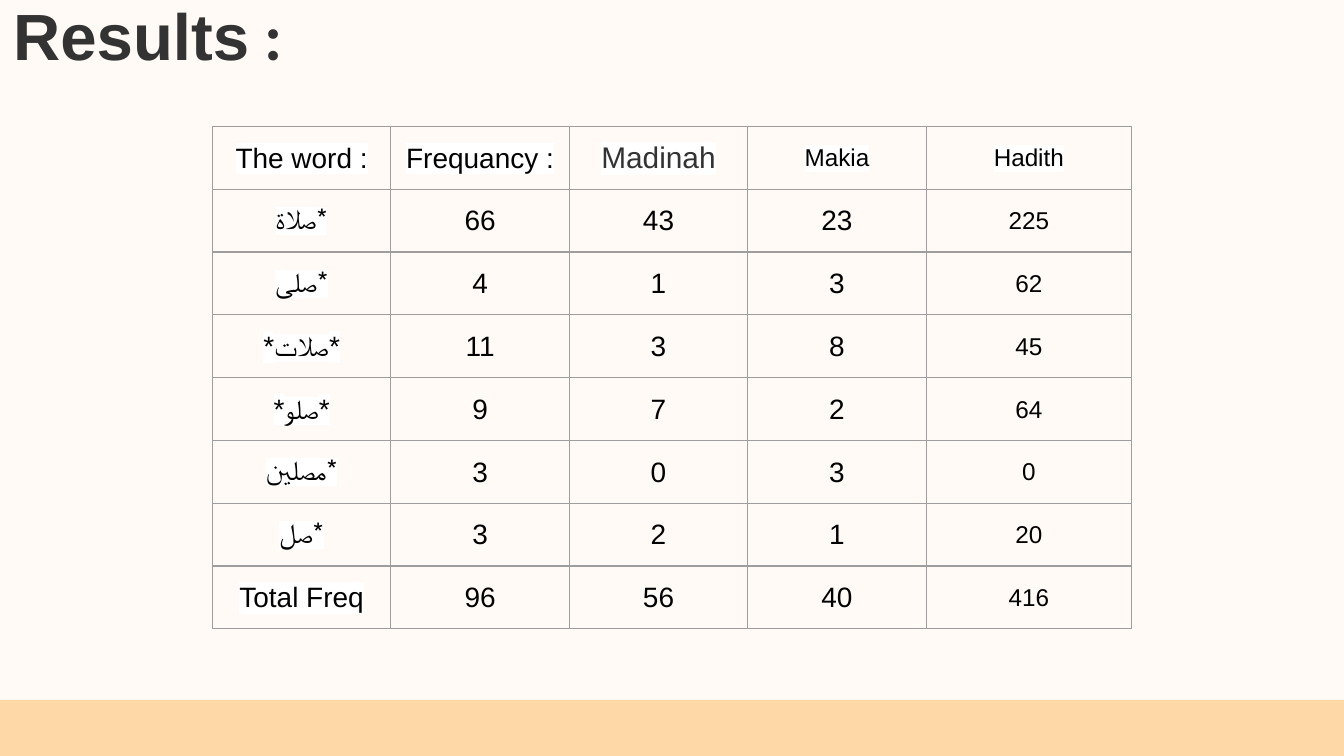
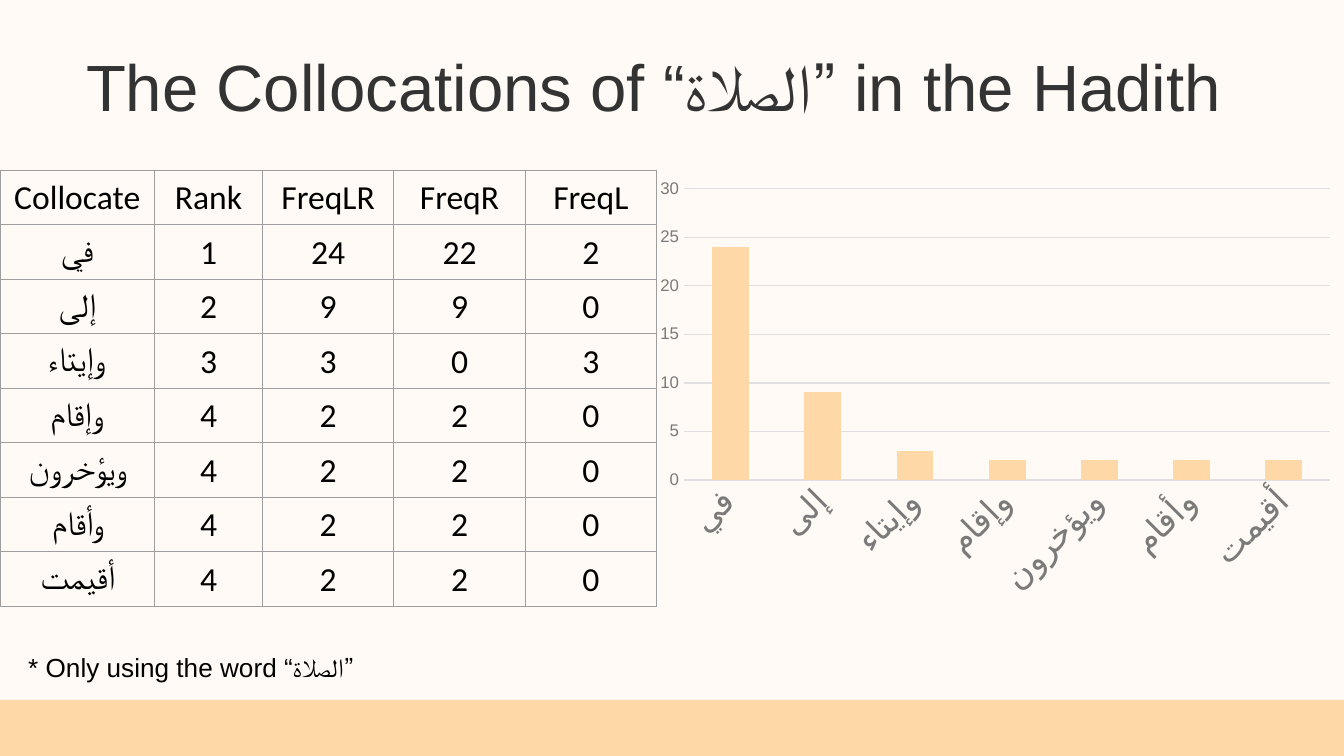
import pptx
import pptx.chart.data
import pptx.dml.color
import pptx.enum.chart
import pptx.enum.shapes
import pptx.enum.text
import pptx.oxml
import pptx.oxml.ns
import pptx.util
from lxml import etree

Pt = pptx.util.Pt
qn = pptx.oxml.ns.qn
WIDTH, HEIGHT = 720, 405
CREAM, PEACH = "FFFAF5", "FFD8A8"
BLACK, WHITE, INK = "000000", "FFFFFF", "333333"
BORDER, AXIS, GRID = "9E9E9E", "7A7A7A", "E0E0E0"
TITLE_SIZE = 35

WORDS = [
    ("The word :", "Frequancy :", "Madinah", "Makia", "Hadith"),
    ("*صلاة", 66, 43, 23, 225),
    ("*صلى", 4, 1, 3, 62),
    ("*صلات*", 11, 3, 8, 45),
    ("*صلو*", 9, 7, 2, 64),
    ("*مصلين", 3, 0, 3, 0),
    ("*صل", 3, 2, 1, 20),
    ("Total Freq", 96, 56, 40, 416),
]
COLLOCATES = [
    ("Collocate", "Rank", "FreqLR", "FreqR", "FreqL"),
    ("في", 1, 24, 22, 2),
    ("إلى", 2, 9, 9, 0),
    ("وإيتاء", 3, 3, 0, 3),
    ("وإقام", 4, 2, 2, 0),
    ("ويؤخرون", 4, 2, 2, 0),
    ("وأقام", 4, 2, 2, 0),
    ("أقيمت", 4, 2, 2, 0),
]


def rgb(value):
    return pptx.dml.color.RGBColor.from_string(value)


def set_font(font, size, color, name="Arial", bold=False):
    font.size, font.name, font.bold = Pt(size), name, bold
    font.color.rgb = rgb(color)


def add_text(slide, box, text, size, color):
    sp = slide.shapes.add_textbox(*map(Pt, box))
    tf = sp.text_frame
    tf.word_wrap = True
    p = tf.paragraphs[0]
    p.text = text
    set_font(p.font, size, color)
    return p


def add_base_slide(prs):
    """Cream slide with the peach band at the foot."""
    slide = prs.slides.add_slide(prs.slide_layouts[6])
    fill = slide.background.fill
    fill.solid()
    fill.fore_color.rgb = rgb(CREAM)
    band = slide.shapes.add_shape(pptx.enum.shapes.MSO_SHAPE.RECTANGLE,
                                  0, Pt(375), Pt(WIDTH), Pt(31.7))
    band.shadow.inherit = False
    band.fill.solid()
    band.fill.fore_color.rgb = rgb(PEACH)
    band.line.fill.background()
    return slide


def set_borders(cell):
    tc_pr = cell._tc.get_or_add_tcPr()
    for i, side in enumerate(("lnL", "lnR", "lnT", "lnB")):
        ln = etree.Element(qn("a:" + side), w=str(Pt(0.75)))
        fill = etree.SubElement(ln, qn("a:solidFill"))
        etree.SubElement(fill, qn("a:srgbClr"), val=BORDER)
        tc_pr.insert(i, ln)


def highlight(r):
    hl = etree.SubElement(r._r.get_or_add_rPr(), qn("a:highlight"))
    etree.SubElement(hl, qn("a:srgbClr"), val=WHITE)


def add_grid(slide, left, top, widths, row_height, rows, style):
    """Bordered table; style(row, col) gives size, colour, font and highlight."""
    frame = slide.shapes.add_table(len(rows), len(widths), Pt(left), Pt(top),
                                   Pt(sum(widths)), Pt(row_height * len(rows)))
    table = frame.table
    table.first_row = table.horz_banding = False
    for column, width in zip(table.columns, widths):
        column.width = Pt(width)
    for i, values in enumerate(rows):
        table.rows[i].height = Pt(row_height)
        for j, value in enumerate(values):
            cell, text = table.cell(i, j), str(value)
            cell.fill.background()
            set_borders(cell)
            cell.vertical_anchor = pptx.enum.text.MSO_ANCHOR.MIDDLE
            cell.margin_left = cell.margin_right = cell.margin_top = Pt(0.7)
            cell.margin_bottom = 0
            p = cell.text_frame.paragraphs[0]
            p.text = text
            p.alignment = pptx.enum.text.PP_ALIGN.CENTER
            if "ء" <= text[-1] <= "ي":  # ends in an Arabic letter
                p._p.get_or_add_pPr().set("rtl", "1")
            size, color, name, marked = style(i, j)
            set_font(p.font, size, color, name)
            if marked:
                highlight(p.runs[0])


def word_style(i, j):
    marked = i == 0 or j == 0
    if (i, j) == (0, 2):
        return 16, INK, "Arial", marked
    small = j == 4 or (i, j) == (0, 3)
    return 13 if small else 15, BLACK, "Arial", marked


def collocate_style(i, j):
    return 18, BLACK, "Calibri", False


def add_frequency_chart(slide, box):
    data = pptx.chart.data.CategoryChartData()
    data.categories = [row[0] for row in COLLOCATES[1:]]
    data.add_series("Series 1", [row[2] for row in COLLOCATES[1:]])
    kind = pptx.enum.chart.XL_CHART_TYPE.COLUMN_CLUSTERED
    chart = slide.shapes.add_chart(kind, *map(Pt, box), data).chart
    chart.has_title = chart.has_legend = False
    set_font(chart.font, 10, INK)

    # Columns
    plot = chart.plots[0]
    plot.gap_width = 150
    plot.vary_by_categories = False
    fill = plot.series[0].format.fill
    fill.solid()
    fill.fore_color.rgb = rgb(PEACH)

    # Axes
    for axis, size in ((chart.category_axis, 18), (chart.value_axis, 9)):
        axis.major_tick_mark = pptx.enum.chart.XL_TICK_MARK.NONE
        axis.minor_tick_mark = pptx.enum.chart.XL_TICK_MARK.NONE
        axis.format.line.fill.background()
        set_font(axis.tick_labels.font, size, AXIS)
    labels = chart.category_axis._element.find(qn("c:txPr"))
    labels.find(qn("a:bodyPr")).set("rot", "-2700000")  # slant by 45 degrees
    values = chart.value_axis
    values.minimum_scale, values.maximum_scale, values.major_unit = 0, 30, 5
    line = values.major_gridlines.format.line
    line.color.rgb = rgb(GRID)
    line.width = Pt(0.75)


def build_results(prs):
    slide = add_base_slide(prs)
    # Title, with the colon in a second font
    p = add_text(slide, (0, -10, 607, 45), "Results", TITLE_SIZE, INK)
    p.font.bold = True
    tf = slide.shapes[-1].text_frame
    tf.margin_left = tf.margin_right = tf.margin_top = tf.margin_bottom = Pt(7.2)
    r = p.add_run()
    r.text = " :"
    r.font.name = "Calibri"
    # Word counts
    add_grid(slide, 113.8, 67.7, [95.6] * 4 + [110], 33.66, WORDS, word_style)


def build_collocations(prs):
    slide = add_base_slide(prs)
    add_grid(slide, 0, 91.2, [82.8, 57.8] + [70.4] * 3, 29.2,
             COLLOCATES, collocate_style)
    add_text(slide, (39, 21, 692.6, 49.7),
             "The Collocations of “الصلاة” in the Hadith", TITLE_SIZE, INK)
    add_frequency_chart(slide, (346.3, 91.2, 373.7, 233.4))
    add_text(slide, (8, 345.6, 324.7, 24.5),
             "* Only using the word “الصلاة”", 14, BLACK)


def main():
    prs = pptx.Presentation()
    prs.slide_width, prs.slide_height = Pt(WIDTH), Pt(HEIGHT)
    build_results(prs)
    build_collocations(prs)
    prs.save("out.pptx")


if __name__ == "__main__":
    main()
